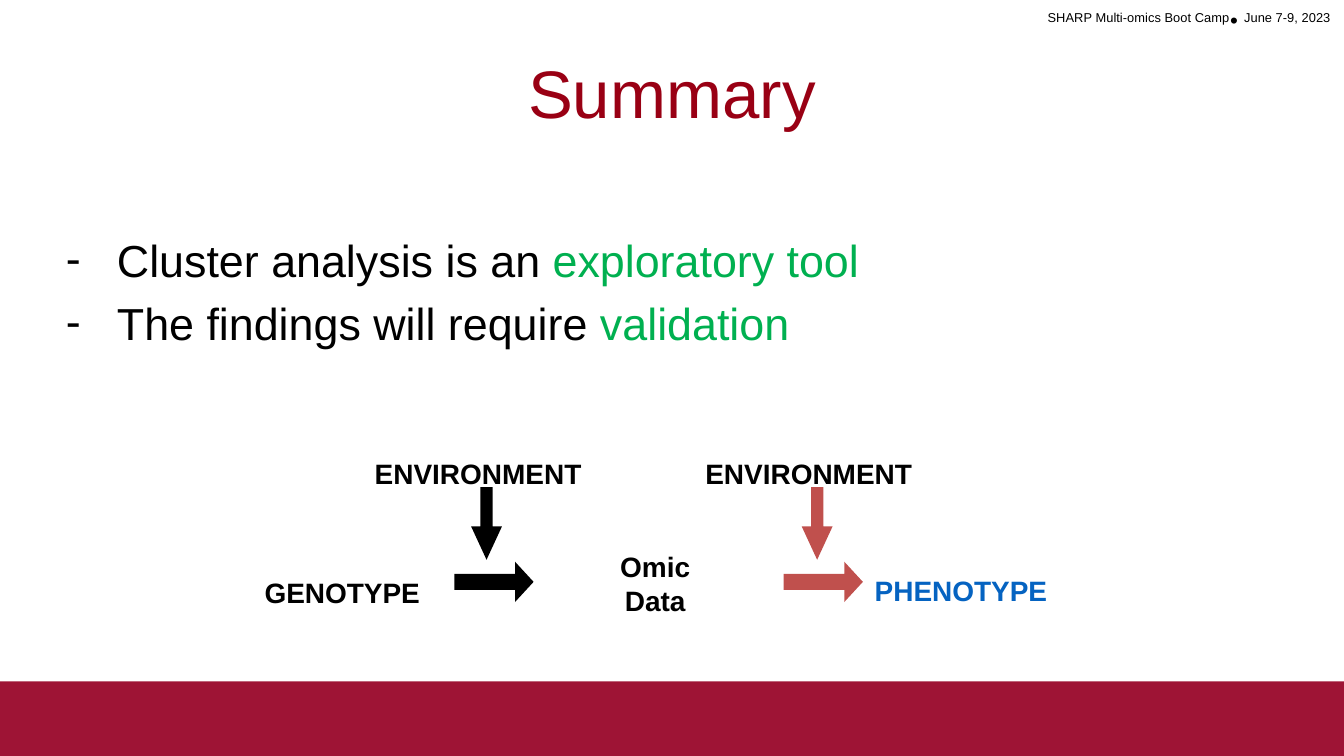
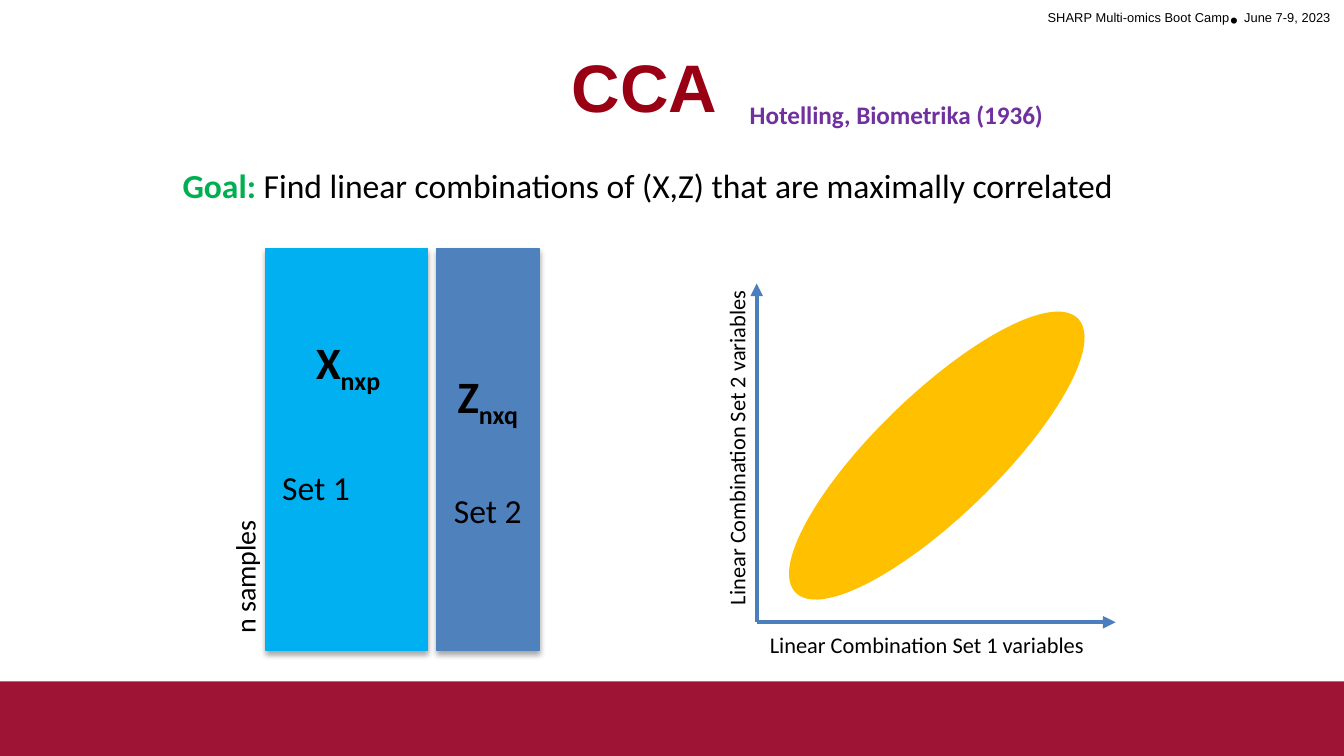
from dataclasses import dataclass

from lxml.etree import SubElement
from pptx import Presentation
from pptx.dml.color import RGBColor
from pptx.enum.shapes import MSO_CONNECTOR as Connector, MSO_SHAPE as Preset
from pptx.enum.text import MSO_ANCHOR as Anchor, MSO_AUTO_SIZE as AutoSize, PP_ALIGN as Align
from pptx.oxml.ns import qn
from pptx.util import Inches, Pt


@dataclass(frozen=True)
class Theme:
    # Fonts
    sans: str = "Arial"
    humanist: str = "Calibri"
    # Colours
    ink: str = "000000"
    band: str = "9E1435"
    title: str = "990014"
    accent: str = "00B050"
    phenotype: str = "0563C1"
    red_arrow: str = "C0504D"
    citation: str = "7030A0"
    first_set: str = "00B0F0"
    second_set: str = "4F81BD"
    axis: str = "4B7EBC"
    ellipse: str = "FFC000"
    # Type sizes
    title_size: float = 36
    large: float = 24
    medium: float = 18
    label: float = 15
    cite: float = 13.5
    small: float = 12


@dataclass(frozen=True)
class Span:
    text: str
    color: str = None
    bold: bool = None
    baseline: int = None


class Builder:
    """Holds the deck, its style and the current slide."""

    def __init__(self, theme):
        self.theme = theme
        self.deck = Presentation()
        # Widescreen, 16 to 9
        self.deck.slide_width, self.deck.slide_height = Inches(10), Inches(10 * 9 / 16)
        self.page = None

    def add_page(self, layout):
        self.page = self.deck.slides.add_slide(self.deck.slide_layouts[layout])
        self.shape(Preset.RECTANGLE, (0, 5.07, 10, 0.56), self.theme.band)
        header = [Span("SHARP Multi-omics Boot Camp", baseline=30), Span("• "),
                  Span("June 7-9, 2023", baseline=30)]
        self.text((6.04, 0, 3.96, 0.3), [header], self.theme.small,
                  align=Align.RIGHT, wrap=True)

    def place(self, box, at):
        box.left, box.top, box.width, box.height = map(Inches, at)

    def style(self, paragraph, spans, size, font=None, color=None, bold=False, align=Align.LEFT):
        paragraph.alignment = align
        paragraph.font.name = font or self.theme.sans
        paragraph.font.size = Pt(size)
        paragraph.font.bold = bold
        paragraph.font.color.rgb = RGBColor.from_string(color or self.theme.ink)
        for part in spans:
            span = paragraph.add_run()
            span.text = part.text
            if part.color:
                span.font.color.rgb = RGBColor.from_string(part.color)
            if part.bold is not None:
                span.font.bold = part.bold
            if part.baseline:
                span._r.get_or_add_rPr().set("baseline", str(part.baseline * 1000))

    def title(self, text, at, bold=False, anchor=Anchor.MIDDLE):
        box = self.page.shapes.title
        self.place(box, at)
        frame = box.text_frame
        frame.auto_size, frame.vertical_anchor = AutoSize.NONE, anchor
        self.style(frame.paragraphs[0], [Span(text)], self.theme.title_size,
                   color=self.theme.title, bold=bold, align=Align.CENTER)

    def dashes(self, items, at):
        box = self.page.placeholders[1]
        self.place(box, at)
        frame = box.text_frame
        frame.auto_size = AutoSize.NONE
        for index, spans in enumerate(items):
            paragraph = frame.add_paragraph() if index else frame.paragraphs[0]
            properties = paragraph._p.get_or_add_pPr()
            properties.set("marL", str(Inches(0.38)))
            properties.set("indent", str(Inches(-0.38)))
            SubElement(properties, qn("a:buChar")).set("char", "-")
            paragraph.line_spacing = 1.0 if index else 2.0
            paragraph.space_before = Pt(5 if index else 0)
            self.style(paragraph, spans, self.theme.large)

    def text(self, at, lines, size, wrap=False, rotation=0, **look):
        """Lines are lists of spans, one list a paragraph."""
        box = self.page.shapes.add_textbox(*map(Inches, at))
        box.rotation = rotation
        frame = box.text_frame
        frame.word_wrap, frame.auto_size = wrap, AutoSize.SHAPE_TO_FIT_TEXT
        for index, spans in enumerate(lines):
            paragraph = frame.add_paragraph() if index else frame.paragraphs[0]
            self.style(paragraph, spans, size, **look)

    def label(self, text, at, color=None):
        self.text(at, [[Span(text)]], self.theme.label, color=color, bold=True)

    def shape(self, preset, at, fill, line=None, rotation=0, adjust=()):
        box = self.page.shapes.add_shape(preset, *map(Inches, at))
        box.shadow.inherit = False
        box.rotation = rotation
        box.fill.solid()
        box.fill.fore_color.rgb = RGBColor.from_string(fill)
        if line:
            box.line.color.rgb = RGBColor.from_string(fill)
            box.line.width = Pt(line)
        else:
            box.line.fill.background()
        for index, value in enumerate(adjust):
            box.adjustments[index] = value
        return box

    def matrix(self, at, fill, symbol, size, name, gap, align=Align.CENTER,
               left=0.1, bottom=0.05):
        """A shaded data block with its symbol, dimensions and set name."""
        box = self.shape(Preset.RECTANGLE, at, fill, line=0.75)
        shadow = SubElement(box._element.spPr.find(qn("a:effectLst")), qn("a:outerShdw"),
                            blurRad=str(Pt(3.1)), dist=str(Pt(1.8)),
                            dir="5400000", rotWithShape="0")
        color = SubElement(shadow, qn("a:srgbClr"), val=self.theme.ink)
        SubElement(color, qn("a:alpha"), val="35000")
        frame = box.text_frame
        frame.word_wrap, frame.vertical_anchor = True, Anchor.MIDDLE
        frame.margin_left, frame.margin_bottom = Inches(left), Inches(bottom)
        self.style(frame.paragraphs[0], [Span(symbol), Span(size, baseline=-25)],
                   self.theme.large, self.theme.humanist, bold=True, align=Align.CENTER)
        caption = frame.add_paragraph()
        caption.space_before = Pt(gap)
        self.style(caption, [Span(name)], self.theme.medium, self.theme.humanist, align=align)

    def axis(self, start, end):
        line = self.page.shapes.add_connector(Connector.STRAIGHT, *map(Inches, start + end))
        line.line.color.rgb = RGBColor.from_string(self.theme.axis)
        line.line.width = Pt(2.25)
        SubElement(line.line._get_or_add_ln(), qn("a:tailEnd"), type="triangle")
        SubElement(line._element.spPr, qn("a:effectLst"))


def summary(build):
    theme = build.theme
    build.add_page(1)
    build.title("Summary", (0.5, 0.21, 9, 0.94))
    build.dashes([
        [Span("Cluster analysis is an "), Span("exploratory tool", theme.accent)],
        [Span("The findings will require "), Span("validation", theme.accent)],
    ], (0.39, 1.28, 9.5, 3.75))

    # Pathway from genotype to phenotype
    build.label("GENOTYPE", (1.87, 4.23, 1.37, 0.35))
    build.text((4.07, 4.04, 1.61, 0.61), [[Span("Omic")], [Span("Data")]], theme.label,
               bold=True, align=Align.CENTER, wrap=True)
    build.label("PHENOTYPE", (6.41, 4.22, 1.5, 0.35), theme.phenotype)

    # Each step: an environment acting on a forward arrow
    for left, forward, color in ((2.69, 3.38, theme.ink), (5.15, 5.83, theme.red_arrow)):
        build.label("ENVIRONMENT", (left, 3.35, 1.76, 0.35))
        build.shape(Preset.RIGHT_ARROW, (forward, 4.18, 0.59, 0.3), color, adjust=(0.4, 0.46))
        build.shape(Preset.RIGHT_ARROW, (left + 0.66, 3.78, 0.54, 0.23), color,
                    rotation=90, adjust=(0.4, 1.08))


def correlation(build):
    theme = build.theme
    build.add_page(5)
    build.title("CCA", (0.71, 0.29, 8.17, 1.09), bold=True, anchor=Anchor.TOP)
    build.text((5.48, 0.69, 2.42, 0.33), [[Span("Hotelling, Biometrika (1936)")]], theme.cite,
               font=theme.humanist, color=theme.citation, bold=True)

    # Data blocks
    build.matrix((1.98, 1.85, 1.2, 2.99), theme.first_set, "X", "nxp", "Set 1", 38,
                 align=Align.LEFT, left=0.12, bottom=0.48)
    build.matrix((3.25, 1.85, 0.76, 2.99), theme.second_set, "Z", "nxq", "Set 2", 32)
    build.text((1.29, 4.11, 1.06, 0.35), [[Span("n samples")]], theme.label,
               font=theme.humanist, rotation=270)

    goal = [Span("Goal:", theme.accent, True),
            Span(" Find linear combinations of (X,Z) that are maximally correlated")]
    build.text((1.26, 1.18, 7.49, 0.4), [goal], theme.medium, font=theme.humanist, wrap=True)

    # Axes and the cloud of correlated scores
    origin = (5.63, 4.63)
    build.axis(origin, (8.3, 4.63))
    build.axis(origin, (5.63, 2.11))
    for number, left, top, rotation in ((1, 5.63, 4.65, 0), (2, 4.2, 3.17, 270)):
        build.text((left, top, 2.56, 0.3), [[Span(f"Linear Combination Set {number} variables")]],
                   theme.small, font=theme.humanist, rotation=rotation)
    build.shape(Preset.OVAL, (6.53, 1.94, 0.88, 2.9), theme.ellipse, line=2, rotation=45.9)


def main():
    build = Builder(Theme())
    summary(build)
    correlation(build)
    build.deck.save("out.pptx")


if __name__ == "__main__":
    main()
